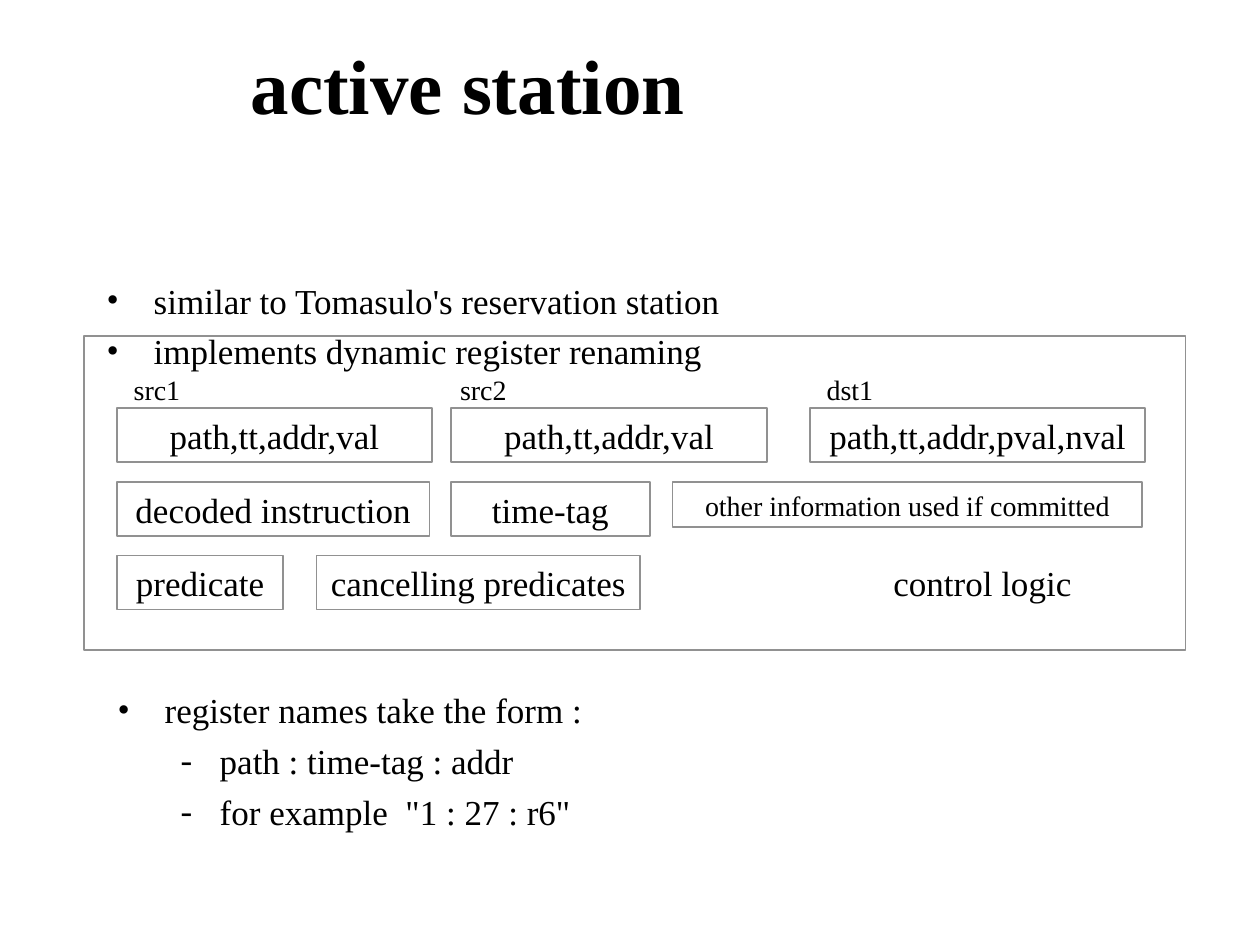
from dataclasses import dataclass

from lxml.etree import SubElement
from pptx import Presentation
from pptx.dml.color import RGBColor
from pptx.enum.shapes import MSO_SHAPE
from pptx.enum.text import MSO_ANCHOR, MSO_AUTO_SIZE, PP_ALIGN
from pptx.oxml.ns import qn
from pptx.util import Cm, Pt

COLOURS = {"text": "000000", "border": "919191"}
FONT = "Times New Roman"
ROW_TOP, ROW_PITCH, ROW_HEIGHT = 8.23, 1.485, 1.09
LABEL_TOP, LABEL_WIDTH, LABEL_HEIGHT = 7.39, 1.45, 0.91


@dataclass
class Field:
    text: str
    row: int
    left: float
    width: float
    height: float = ROW_HEIGHT
    size: int = 20
    bordered: bool = True


@dataclass
class BulletStyle:
    mark: str
    margin: float
    hanging: float


@dataclass
class BulletList:
    left: float
    top: float
    height: float
    items: list[tuple[int, str]]


FIELDS = [
    Field("path,tt,addr,val", 0, 2.36, 6.35),
    Field("path,tt,addr,val", 0, 9.09, 6.38),
    Field("path,tt,addr,pval,nval", 0, 16.33, 6.76),
    Field("decoded instruction", 1, 2.36, 6.3),
    Field("time-tag", 1, 9.09, 4.01),
    Field("other information used if committed", 1, 13.56, 9.47, 0.91, 16),
    Field("predicate", 2, 2.36, 3.35),
    Field("cancelling predicates", 2, 6.38, 6.53),
    Field("control logic", 2, 16.54, 6.53, bordered=False),
]
LABELS = {"src1": 2.44, "src2": 9.02, "dst1": 16.41}
BULLET_STYLES = [BulletStyle("•", 0.95, 0.95), BulletStyle("-", 2.06, 0.79)]
LISTS = [
    BulletList(1.9, 5.5, 2.12, [
        (0, "similar to Tomasulo's reservation station"),
        (0, "implements dynamic register renaming"),
    ]),
    BulletList(2.12, 13.76, 4.02, [
        (0, "register names take the form :"),
        (1, "path : time-tag : addr"),
        (1, 'for example  "1 : 27 : r6"'),
    ]),
]


def colour(name: str) -> RGBColor:
    return RGBColor.from_string(COLOURS[name])


def write(para, text: str, size: int, bold: bool = False) -> None:
    span = para.add_run()
    span.text = text
    for name, value in {"name": FONT, "size": Pt(size), "bold": bold}.items():
        setattr(span.font, name, value)
    span.font.color.rgb = colour("text")


def add_outline(page, left: float, top: float, width: float, height: float):
    box = page.shapes.add_shape(MSO_SHAPE.RECTANGLE, Cm(left), Cm(top), Cm(width), Cm(height))
    box.shadow.inherit = False
    box.fill.background()
    box.line.color.rgb = colour("border")
    box.line.width = Pt(1)
    return box


def fill_centred(box, text: str, size: int, wrap: bool) -> None:
    frame = box.text_frame
    settings = {
        "word_wrap": wrap,
        "auto_size": MSO_AUTO_SIZE.SHAPE_TO_FIT_TEXT,
        "vertical_anchor": MSO_ANCHOR.TOP,
    }
    for name, value in settings.items():
        setattr(frame, name, value)
    para = frame.paragraphs[0]
    para.alignment = PP_ALIGN.CENTER
    write(para, text, size)


def add_text_box(page, left: float, top: float, width: float, height: float):
    return page.shapes.add_textbox(Cm(left), Cm(top), Cm(width), Cm(height))


def add_field(page, field: Field) -> None:
    add_box = add_outline if field.bordered else add_text_box
    top = ROW_TOP + field.row * ROW_PITCH
    box = add_box(page, field.left, top, field.width, field.height)
    fill_centred(box, field.text, field.size, wrap=True)


def add_label(page, text: str, left: float) -> None:
    box = add_text_box(page, left, LABEL_TOP, LABEL_WIDTH, LABEL_HEIGHT)
    fill_centred(box, text, 16, wrap=False)


def set_bullet(para, style: BulletStyle) -> None:
    properties = para._p.get_or_add_pPr()
    properties.set("marL", str(Cm(style.margin)))
    properties.set("indent", str(-Cm(style.hanging)))
    bullet_colour = SubElement(properties, qn("a:buClr"))
    SubElement(bullet_colour, qn("a:srgbClr"), val=COLOURS["text"])
    SubElement(properties, qn("a:buFont"), typeface=FONT)
    SubElement(properties, qn("a:buChar"), char=style.mark)


def add_bullets(page, bullets: BulletList) -> None:
    frame = add_text_box(page, bullets.left, bullets.top, 21.59, bullets.height).text_frame
    frame.word_wrap = True
    for number, (level, text) in enumerate(bullets.items):
        para = frame.add_paragraph() if number else frame.paragraphs[0]
        para.level = level
        set_bullet(para, BULLET_STYLES[level])
        if number:
            para.space_before = Pt(5)
        write(para, text, 20)


def set_title(page, text: str) -> None:
    title = page.shapes.title
    place = {"left": 0.64, "top": 0.84, "width": 17.58, "height": 1.7}
    for name, value in place.items():
        setattr(title, name, Cm(value))
    frame = title.text_frame
    frame.vertical_anchor = MSO_ANCHOR.MIDDLE
    frame.auto_size = MSO_AUTO_SIZE.NONE
    para = frame.paragraphs[0]
    para.alignment = PP_ALIGN.CENTER
    write(para, text, 44, bold=True)


def main() -> None:
    deck = Presentation()
    deck.slide_width, deck.slide_height = Cm(25.4), Cm(19.05)
    page = deck.slides.add_slide(deck.slide_layouts[5])
    set_title(page, "active station")
    add_outline(page, 1.7, 6.78, 22.2, 6.32)
    for field in FIELDS:
        add_field(page, field)
    for text, left in LABELS.items():
        add_label(page, text, left)
    for bullets in LISTS:
        add_bullets(page, bullets)
    deck.save("out.pptx")


if __name__ == "__main__":
    main()
